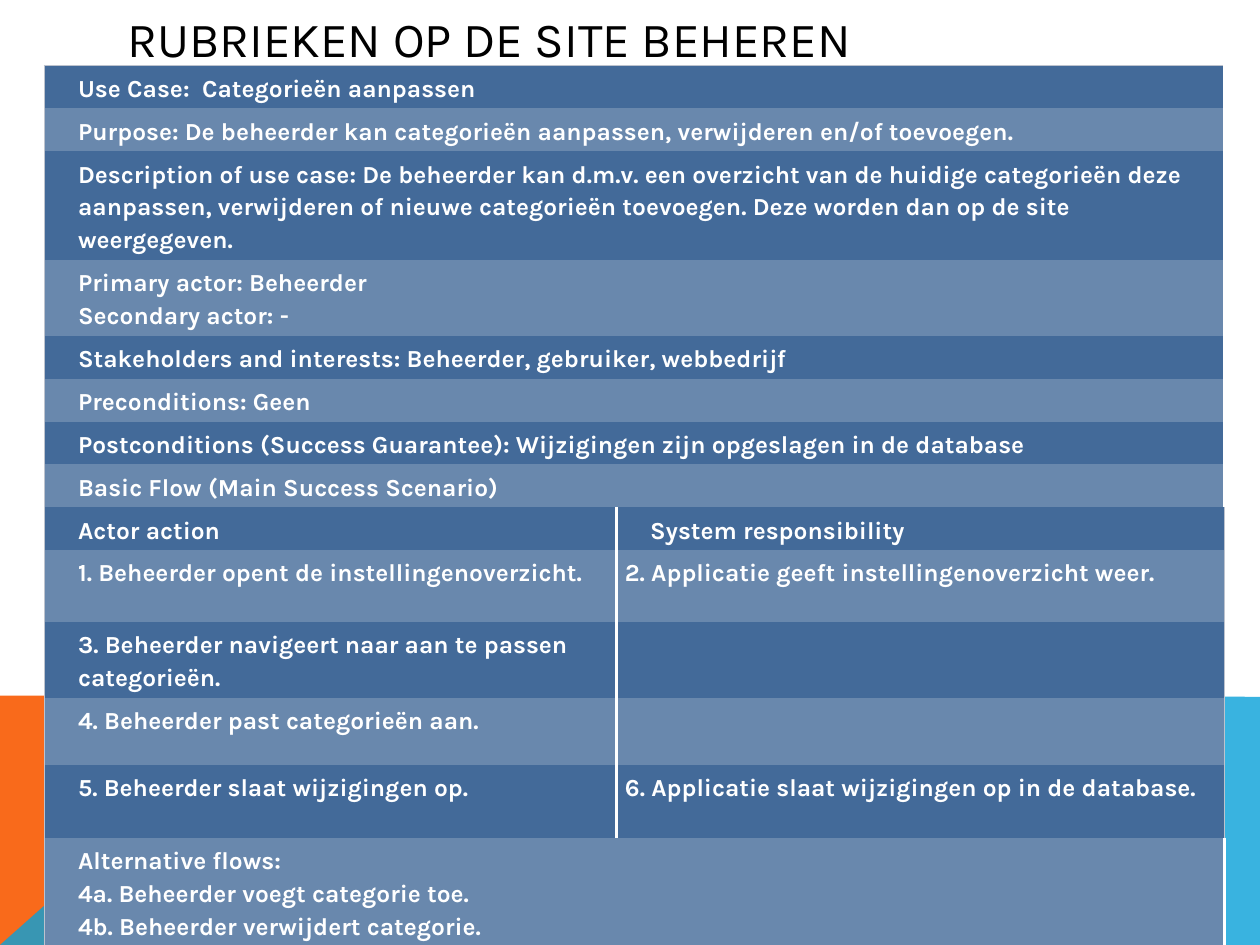
from lxml import etree
from pptx import Presentation
from pptx import util as u
from pptx.dml import color
from pptx.enum import text
from pptx.oxml import ns

WHITE, GREY, DARK, LIGHT = "FFFFFF", "BDC3CE", "436A99", "6988AD"
COLS = [4.54, 4.83]
ROWS = [
    (0.34, ["Use Case:  Categorieën aanpassen"]),
    (0.34, ["Purpose: De beheerder kan categorieën aanpassen, verwijderen en/of toevoegen."]),
    (0.82, ["Description of use case: De beheerder kan d.m.v. een overzicht van de huidige "
            "categorieën deze aanpassen, verwijderen of nieuwe categorieën toevoegen. "
            "Deze worden dan op de site weergegeven."]),
    (0.57, ["Primary actor: Beheerder\nSecondary actor: -"]),
    (0.34, ["Stakeholders and interests: Beheerder, gebruiker, webbedrijf"]),
    (0.34, ["Preconditions: Geen"]),
    (0.34, ["Postconditions (Success Guarantee): Wijzigingen zijn opgeslagen in de database"]),
    (0.34, ["Basic Flow (Main Success Scenario)"]),
    (0.34, ["Actor action", "System responsibility"]),
    (0.57, ["1. Beheerder opent de instellingenoverzicht.",
            "2. Applicatie geeft instellingenoverzicht weer."]),
    (0.57, ["3. Beheerder navigeert naar aan te passen categorieën.", ""]),
    (0.53, ["4. Beheerder past categorieën aan.", ""]),
    (0.58, ["5. Beheerder slaat wijzigingen op.",
            "6. Applicatie slaat wijzigingen op in de database."]),
    (0.82, ["Alternative flows:\n4a. Beheerder voegt categorie toe.\n"
            "4b. Beheerder verwijdert categorie."]),
]


def rgb(code):
    return color.RGBColor.from_string(code)


def put(item, values):
    for name, value in values.items():
        setattr(item, name, value)


def paint(fill, code):
    fill.solid()
    fill.fore_color.rgb = rgb(code)


def style(font, size, code, bold):
    put(font, {"name": "Karla", "size": u.Pt(size), "bold": bold})
    font.color.rgb = rgb(code)


def add_free(slide, points, code, alpha=None):
    spots = [(u.Inches(x), u.Inches(y)) for x, y in points]
    form = slide.shapes.build_freeform(*spots[0])
    form.add_line_segments(spots[1:], close=True)
    shape = form.convert_to_shape()
    shape.shadow.inherit = False
    paint(shape.fill, code)
    shape.line.fill.background()
    if alpha:
        node = shape.element.find(".//" + ns.qn("a:srgbClr"))
        etree.SubElement(node, ns.qn("a:alpha"), val=str(alpha * 1000))


def add_title(slide, words):
    title = slide.shapes.title
    put(title, {"left": u.Inches(0.91), "top": 0,
                "width": u.Inches(8.22), "height": u.Inches(0.6)})
    frame = title.text_frame
    put(frame, {"text": words, "word_wrap": True,
                "vertical_anchor": text.MSO_ANCHOR.MIDDLE})
    para = frame.paragraphs[0]
    para.alignment = text.PP_ALIGN.LEFT
    style(para.font, 28, "000000", False)
    title.element.getparent().append(title.element)


def edge(cell, sides):
    props = cell._tc.get_or_add_tcPr()
    for side in "LRTB":
        code, width = sides.get(side, (None, 0))
        line = etree.SubElement(props, ns.qn("a:ln" + side), w=str(u.Pt(width)))
        if code:
            fill = etree.SubElement(line, ns.qn("a:solidFill"))
            etree.SubElement(fill, ns.qn("a:srgbClr"), val=code)
        else:
            etree.SubElement(line, ns.qn("a:noFill"))


def write(cell, words, inset, align):
    put(cell, {"margin_left": u.Inches(0.07), "margin_right": u.Inches(0.07),
               "margin_top": u.Inches(0.04), "margin_bottom": u.Inches(0.04),
               "vertical_anchor": text.MSO_ANCHOR.TOP})
    cell.text = words
    for para in cell.text_frame.paragraphs:
        put(para, {"alignment": align, "line_spacing": 1.15,
                   "space_before": u.Pt(0)})
        props = para._p.get_or_add_pPr()
        props.set("marL", str(u.Inches(inset)))
        props.set("indent", "0")
        style(para.font, 14, WHITE, True)
        for run in para.runs:
            style(run.font, 14, WHITE, True)


def add_grid(slide):
    frame = slide.shapes.add_table(len(ROWS), len(COLS), u.Inches(0.35), u.Inches(0.52),
                                   u.Inches(sum(COLS)), u.Inches(6.91))
    table = frame.table
    put(table, {"first_row": False, "horz_banding": False})
    mark = table._tbl.find(".//" + ns.qn("a:tableStyleId"))
    mark.text = "{2D5ABB26-0587-4C30-8999-92F81FD0307C}"
    for col, width in zip(table.columns, COLS):
        col.width = u.Inches(width)
    for i, (height, parts) in enumerate(ROWS):
        table.rows[i].height = u.Inches(height)
        split = len(parts) == 2
        left, right = table.cell(i, 0), table.cell(i, 1)
        if not split:
            left.merge(right)
        outer = {}
        if i == 0:
            outer["T"] = (GREY, 0.75)
        if i == len(ROWS) - 1:
            outer["B"] = (GREY, 0.75)
        edge(left, {"L": (GREY, 0.75), "R": (WHITE, 2), **outer})
        last = {"R": (GREY, 0.75), "L": (WHITE, 2)} if split else {"R": (WHITE, 2)}
        edge(right, {**last, **outer})
        for cell in (left, right):
            paint(cell.fill, LIGHT if i % 2 else DARK)
        align = text.PP_ALIGN.JUSTIFY if i < 2 else text.PP_ALIGN.LEFT
        for j, words in enumerate(parts):
            inset = 0 if j and words[:1].isdigit() else 0.2
            write(table.cell(i, j), words, inset, align)


def main():
    deck = Presentation()
    put(deck, {"slide_width": u.Inches(10), "slide_height": u.Inches(7.5)})
    slide = deck.slides.add_slide(deck.slide_layouts[5])
    paint(slide.background.fill, WHITE)
    add_free(slide, [(0, 7.5), (0, 5.52), (2.23, 5.52), (3.91, 7.5)], "F96A1B")
    add_free(slide, [(0, 7.5), (2.23, 5.52), (10, 5.53), (10, 7.5)], "08A1D9", 80)
    add_title(slide, "RUBRIEKEN OP DE SITE BEHEREN")
    add_grid(slide)
    deck.save("out.pptx")


if __name__ == "__main__":
    main()
